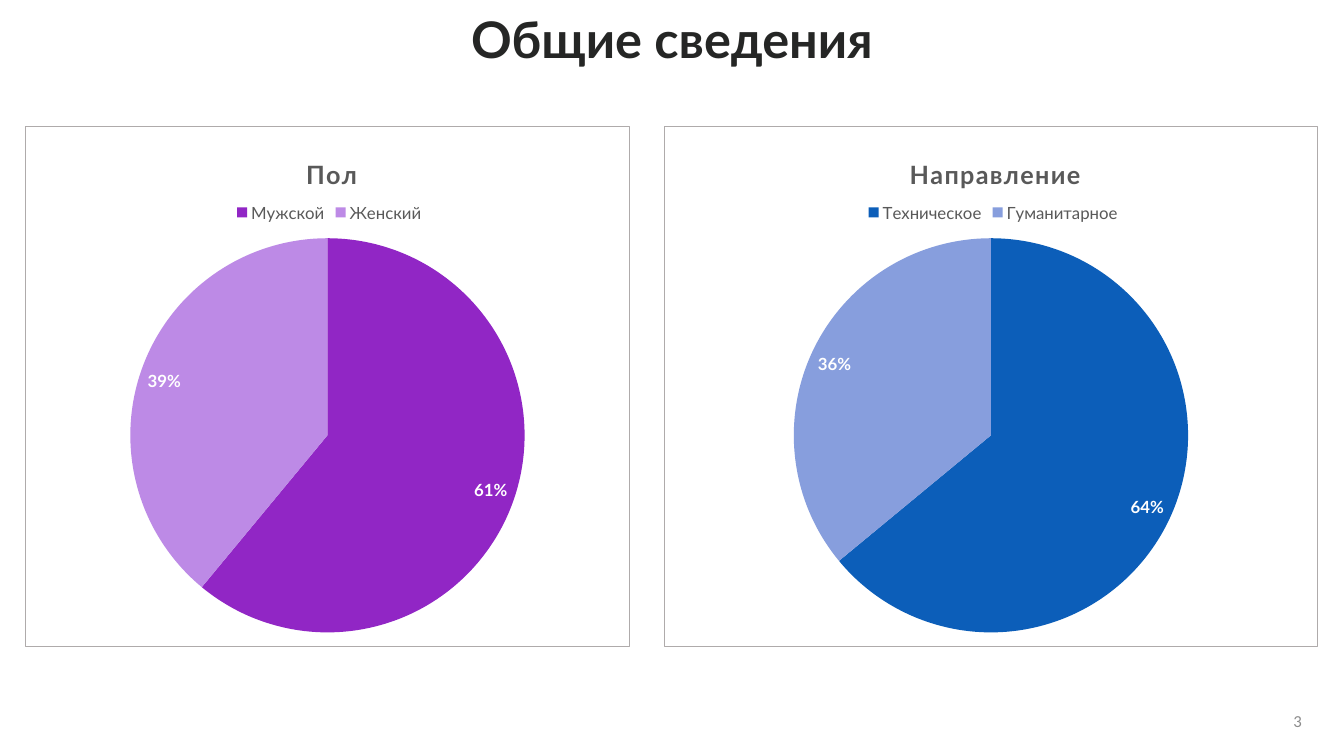
from lxml import etree
from pptx import Presentation
from pptx.chart.data import CategoryChartData
from pptx.dml.color import RGBColor
from pptx.enum.chart import XL_CHART_TYPE as CT, XL_LABEL_POSITION as LP, XL_LEGEND_POSITION as LG
from pptx.enum.text import MSO_ANCHOR as MA, MSO_AUTO_SIZE as AS, PP_ALIGN as PA
from pptx.oxml import parse_xml
from pptx.oxml.ns import nsdecls, qn
from pptx.util import Pt

SCALE = 914400 / 100.8
FONT = "Lato"


def px(*values):
    return [round(v * SCALE) for v in values]


def rgb(color):
    return RGBColor.from_string(color)


def style_font(font, size, color, bold=False, name=FONT):
    font.size, font.bold, font.name = Pt(size), bold, name
    font.color.rgb = rgb(color)


def write(tf, text, size, color, bold=False, name=FONT, align=PA.CENTER,
          anchor=MA.TOP, line=None, spacing=None):
    tf.word_wrap = True
    tf.auto_size = AS.NONE
    tf.vertical_anchor = anchor
    p = tf.paragraphs[0]
    p.alignment = align
    p.line_spacing = line
    r = p.add_run()
    r.text = text
    style_font(r.font, size, color, bold, name)
    if spacing:
        r.font._element.set("spc", str(spacing))


def place(parent, index, box, x, y, w=None, h=None):
    """Lay out a chart part at pixels measured from the chart's corner."""
    old = parent.find(qn("c:layout"))
    if old is not None:
        parent.remove(old)
    layout = etree.Element(qn("c:layout"))
    manual = etree.SubElement(layout, qn("c:manualLayout"))
    values = [("xMode", "edge"), ("yMode", "edge"),
              ("x", x / box[2]), ("y", y / box[3])]
    if w:
        values = [("layoutTarget", "inner")] + values
        values += [("w", w / box[2]), ("h", h / box[3])]
    for tag, value in values:
        etree.SubElement(manual, qn("c:" + tag)).set("val", str(value))
    parent.insert(index, layout)


def add_title(slide, box, text):
    sp = slide.shapes.title
    sp.left, sp.top, sp.width, sp.height = px(*box)
    write(sp.text_frame, text, 36, "252625", bold=True, line=0.9)


def add_number(slide, box, text):
    sp = slide.shapes.add_textbox(*px(*box))
    write(sp.text_frame, text, 12, "8C8C8C", name="Calibri",
          align=PA.RIGHT, anchor=MA.MIDDLE)


def add_pie(slide, box, title, shares, colors, title_width, legend_width):
    data = CategoryChartData()
    data.categories = list(shares)
    data.add_series("Series 1", list(shares.values()))
    chart = slide.shapes.add_chart(CT.PIE, *px(*box), data).chart
    style_font(chart.font, 10, "000000")

    # Frame with square corners
    root = chart.element
    inner = root.find(qn("c:chart"))
    inner.addprevious(parse_xml(f'<c:roundedCorners {nsdecls("c")} val="0"/>'))
    inner.addnext(parse_xml(
        f'<c:spPr {nsdecls("c", "a")}><a:noFill/><a:ln w="9525"><a:solidFill>'
        '<a:srgbClr val="AFABAB"/></a:solidFill></a:ln></c:spPr>'))

    # Heading and legend, centred above the pie
    middle = box[2] / 2
    chart.has_title = True
    write(chart.chart_title.text_frame, title, 18, "595959", bold=True, spacing=100)
    place(inner.find(qn("c:title")), 1, box, middle - title_width / 2, 25)
    chart.has_legend = True
    legend = chart.legend
    legend.position = LG.TOP
    legend.include_in_layout = False
    style_font(legend.font, 12, "595959")
    place(inner.find(qn("c:legend")), 1, box, middle - legend_width / 2, 72)

    # Pie
    size = 395
    place(inner.find(qn("c:plotArea")), 0, box, middle - size / 2, 112, size, size)
    plot = chart.plots[0]
    plot.vary_by_categories = True
    for i, color in enumerate(colors):
        point = plot.series[0].points[i].format
        point.fill.solid()
        point.fill.fore_color.rgb = rgb(color)
        point.line.fill.background()
    plot.has_data_labels = True
    labels = plot.data_labels
    labels.show_percentage = True
    labels.show_value = False
    labels.number_format = "0%"
    labels.number_format_is_linked = False
    labels.position = LP.INSIDE_END
    style_font(labels.font, 12, "FFFFFF", bold=True)


prs = Presentation()
prs.slide_width, prs.slide_height = px(1344, 756)
slide = prs.slides.add_slide(prs.slide_layouts[5])

add_title(slide, (0, 10, 1344, 72), "Общие сведения")
add_pie(slide, (25, 126, 605, 521), "Пол", {"Мужской": 61, "Женский": 39},
        ("9126C5", "BD8AE6"), title_width=52, legend_width=192)
add_pie(slide, (664, 126, 654, 521), "Направление", {"Техническое": 64, "Гуманитарное": 36},
        ("0C5EB9", "879EDD"), title_width=172, legend_width=256)
add_number(slide, (1245, 701, 67, 40), "3")

prs.save("out.pptx")
